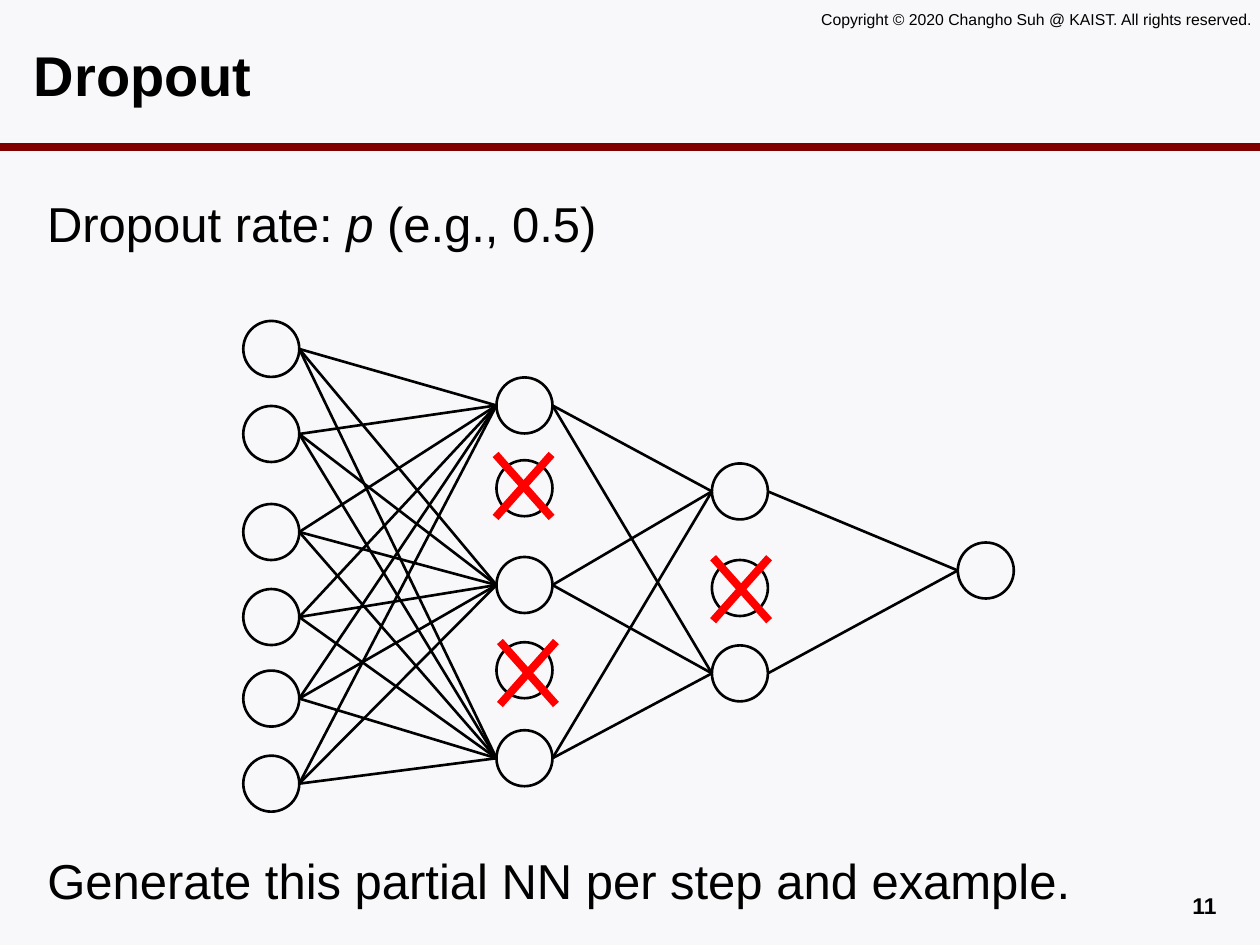
from itertools import product

from pptx import Presentation
from pptx.dml.color import RGBColor
from pptx.enum.shapes import MSO_CONNECTOR, MSO_SHAPE
from pptx.enum.text import MSO_ANCHOR, MSO_AUTO_SIZE, PP_ALIGN
from pptx.oxml.ns import qn
from pptx.util import Pt

BLACK = RGBColor(0, 0, 0)
RED = RGBColor(0xFF, 0, 0)
MAROON = RGBColor(0x80, 0, 0)
PAPER = RGBColor(0xF8, 0xF8, 0xFA)

SIZE = 32  # node diameter
# Each layer: left edge and node centres, measured from the network's corner
LAYERS = [
    (0, [16, 64.6, 120.6, 169.2, 215.8, 264.4]),
    (144.7, [48.3, 95.6, 150.9, 199.6, 249.9]),
    (267.8, [97.4, 152.6, 201.4]),
    (408.3, [142.6]),
]
# Dropped nodes (layer, index) and the shift of the cross from the centre
DROPPED = {(1, 1): (-0.5, -1.3), (1, 3): (2, 1.6), (2, 1): (0.7, 0.7)}


def add_line(slide, start, end, color=BLACK, width=1.5):
    line = slide.shapes.add_connector(
        MSO_CONNECTOR.STRAIGHT, *[Pt(v) for v in (*start, *end)])
    line.line.color.rgb = color
    line.line.width = Pt(width)
    props = line._element.spPr
    props.append(props.makeelement(qn("a:effectLst"), {}))


def set_text(shape, runs, size, bold=False, align=PP_ALIGN.LEFT,
             anchor=MSO_ANCHOR.TOP, top=3.6):
    """Fill the shape with one paragraph of (text, italic) runs."""
    frame = shape.text_frame
    layout = {"word_wrap": True, "auto_size": MSO_AUTO_SIZE.NONE,
              "vertical_anchor": anchor, "margin_left": Pt(7.2),
              "margin_right": Pt(7.2), "margin_top": Pt(top),
              "margin_bottom": Pt(3.6)}
    for name, value in layout.items():
        setattr(frame, name, value)
    para = frame.paragraphs[0]
    para.alignment = align
    for text, italic in runs:
        run = para.add_run()
        run.text = text
        style = {"name": "Arial", "size": Pt(size), "bold": bold,
                 "italic": italic}
        for name, value in style.items():
            setattr(run.font, name, value)
        run.font.color.rgb = BLACK


def add_text(slide, box, runs, size, **style):
    shape = slide.shapes.add_textbox(*[Pt(v) for v in box])
    set_text(shape, runs, size, **style)


def add_header(slide, left, top, width, height):
    title = slide.shapes.title
    spots = {"left": left + 12.2, "top": top + 12.2,
             "width": width - 31.7, "height": 59.8}
    for name, value in spots.items():
        setattr(title, name, Pt(value))
    set_text(title, [("Dropout", False)], 32, bold=True,
             anchor=MSO_ANCHOR.MIDDLE)
    add_text(slide, (left + 462.2, top + 2.2, 268.6, 18), [
        ("Copyright © 2020 Changho Suh @ KAIST. All rights reserved.", False),
    ], 9)
    base = top + height
    add_line(slide, (left, base), (left + width, base), MAROON, 4.5)


def add_node(slide, left, mid):
    node = slide.shapes.add_shape(
        MSO_SHAPE.OVAL, Pt(left), Pt(mid - SIZE / 2), Pt(SIZE), Pt(SIZE))
    node.shadow.inherit = False
    node.fill.background()
    node.line.color.rgb = BLACK
    node.line.width = Pt(1.5)


def add_cross(slide, x, y, wide=16, high=18):
    for rise in (high, -high):
        add_line(slide, (x - wide, y + rise), (x + wide, y - rise), RED, 4.5)


def add_network(slide, left, top):
    """Join the kept nodes of neighbouring layers and cross out the rest."""
    layers = [(left + x, [top + y for y in mids]) for x, mids in LAYERS]
    kept = [[y for i, y in enumerate(mids) if (n, i) not in DROPPED]
            for n, (_, mids) in enumerate(layers)]
    for n in range(len(layers) - 1):
        start, end = layers[n][0] + SIZE, layers[n + 1][0]
        for a, b in product(kept[n], kept[n + 1]):
            add_line(slide, (start, a), (end, b))
    for x, mids in layers:
        for y in mids:
            add_node(slide, x, y)
    for (n, i), (dx, dy) in DROPPED.items():
        x, mids = layers[n]
        add_cross(slide, x + SIZE / 2 + dx, mids[i] + dy)


def main():
    deck = Presentation()
    deck.slide_width, deck.slide_height = Pt(720), Pt(540)
    slide = deck.slides.add_slide(deck.slide_layouts.get_by_name("Title Only"))
    slide.background.fill.solid()
    slide.background.fill.fore_color.rgb = PAPER

    add_header(slide, 0, 0, 720, 84)
    add_text(slide, (19.8, 103.7, 476.6, 46), [
        ("Dropout rate: ", False), ("p ", True), ("(e.g., 0.5)", False),
    ], 28, top=7)
    add_network(slide, 139, 183.4)
    add_text(slide, (20, 478.8, 669, 46), [
        ("Generate this partial NN per step and example.", False),
    ], 28, top=7)
    add_text(slide, (534.2, 506.2, 168, 19.4), [("11", False)], 13,
             bold=True, align=PP_ALIGN.RIGHT)
    deck.save("out.pptx")


if __name__ == "__main__":
    main()
